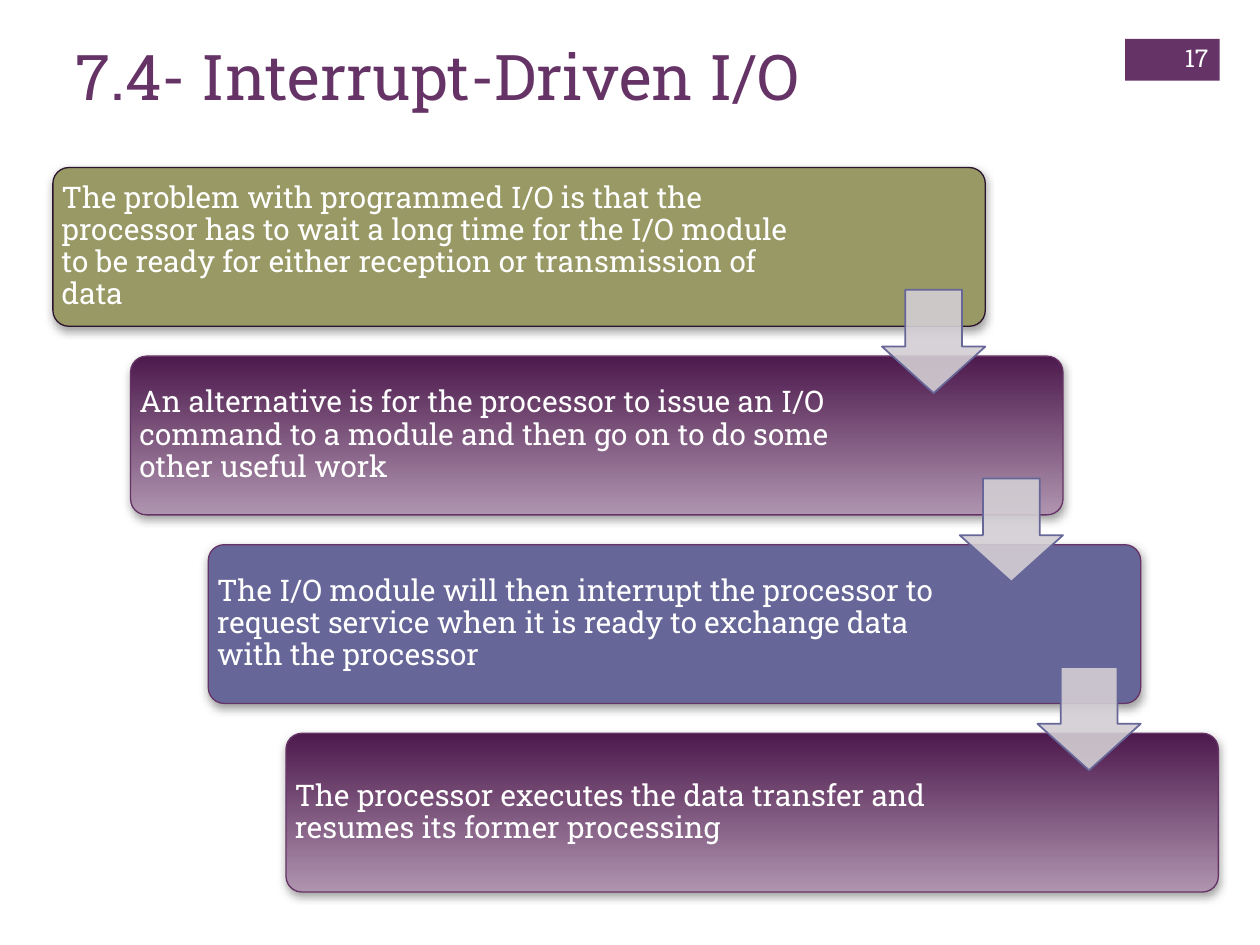
import pptx
import pptx.dml.color
import pptx.enum.shapes
import pptx.enum.text
import pptx.oxml
import pptx.oxml.ns
import pptx.util
from pptx.util import Inches

RGBColor = pptx.dml.color.RGBColor
MSO_SHAPE = pptx.enum.shapes.MSO_SHAPE
MSO_ANCHOR = pptx.enum.text.MSO_ANCHOR
PP_ALIGN = pptx.enum.text.PP_ALIGN

FONT = "Roboto Slab"
PURPLE = RGBColor(0x66, 0x33, 0x66)
DARK_PURPLE = RGBColor(0x4D, 0x1A, 0x4D)
LIGHT_PURPLE = RGBColor(0xAF, 0x94, 0xAF)
INK = RGBColor(0x2B, 0x14, 0x2D)
OLIVE = RGBColor(0x99, 0x99, 0x66)
SLATE = RGBColor(0x66, 0x66, 0x99)
ARROW_GRAY = RGBColor(0xD3, 0xCE, 0xD3)
WHITE = RGBColor(0xFF, 0xFF, 0xFF)
GRADIENT = (DARK_PURPLE, LIGHT_PURPLE)

SHADOW = (
    '<a:effectLst %s><a:outerShdw blurRad="63500" dist="25400" dir="5400000" rotWithShape="0">'
    '<a:srgbClr val="808080"><a:alpha val="75000"/></a:srgbClr></a:outerShdw></a:effectLst>'
    % pptx.oxml.ns.nsdecls("a")
)

# Text, text width, fill and outline of each step
STEPS = [
    ("The problem with programmed I/O is that the processor has to wait a long time for the "
     "I/O module to be ready for either reception or transmission of data", 6, OLIVE, INK),
    ("An alternative is for the processor to issue an I/O command to a module and then go on "
     "to do some other useful work", 5.96, GRADIENT, PURPLE),
    ("The I/O module will then interrupt the processor to request service when it is ready to "
     "exchange data with the processor", 5.97, SLATE, PURPLE),
    ("The processor executes the data transfer and resumes its former processing",
     5.96, GRADIENT, PURPLE),
]


def add_text(slide, box, text, size, color, anchor=MSO_ANCHOR.MIDDLE,
             align=PP_ALIGN.LEFT, inset=None, line_spacing=None):
    """Add a one-paragraph text box at box (left, top, width, height in inches)."""
    frame = slide.shapes.add_textbox(*map(Inches, box)).text_frame
    frame.word_wrap = True
    frame.vertical_anchor = anchor
    if inset is not None:
        frame.margin_left = frame.margin_right = Inches(inset)
        frame.margin_top = frame.margin_bottom = Inches(inset)
    frame.text = text
    paragraph = frame.paragraphs[0]
    paragraph.alignment = align
    paragraph.line_spacing = line_spacing
    font = paragraph.runs[0].font
    font.name = FONT
    font.size = pptx.util.Pt(size)
    font.color.rgb = color


def add_shape(slide, kind, box, fill, line=None, line_width=0.75, adjustments=()):
    """Add a preset shape with a solid colour or a (top, bottom) gradient."""
    shape = slide.shapes.add_shape(kind, *map(Inches, box))
    shape.shadow.inherit = False
    for index, value in enumerate(adjustments):
        shape.adjustments[index] = value
    if fill is GRADIENT:
        shape.fill.gradient()
        shape.fill.gradient_angle = 270
        for stop, color, position in zip(shape.fill.gradient_stops, fill, (0, 1)):
            stop.color.rgb = color
            stop.position = position
    else:
        shape.fill.solid()
        shape.fill.fore_color.rgb = fill
    if line is None:
        shape.line.fill.background()
    else:
        shape.line.color.rgb = line
        shape.line.width = pptx.util.Pt(line_width)
    return shape


def add_step(slide, box, text, text_width, fill, line):
    """Add one rounded step card with a soft shadow and its text."""
    card = add_shape(slide, MSO_SHAPE.ROUNDED_RECTANGLE, box, fill, line, adjustments=(0.1,))
    properties = card._element.spPr
    properties.replace(properties.find(pptx.oxml.ns.qn("a:effectLst")),
                       pptx.oxml.parse_xml(SHADOW))
    left, top, _, height = box
    add_text(slide, (left, top, text_width, height), text, 17, WHITE,
             inset=0.07, line_spacing=0.9)


def add_arrow(slide, box):
    """Add a slightly transparent down arrow."""
    arrow = add_shape(slide, MSO_SHAPE.DOWN_ARROW, box, ARROW_GRAY, SLATE, 1)
    # The first adjustment is the shaft width, the second the head length
    arrow.adjustments[0] = 0.55
    arrow.adjustments[1] = 0.45
    color = arrow._element.spPr.find(".//" + pptx.oxml.ns.qn("a:srgbClr"))
    color.append(pptx.oxml.parse_xml(
        '<a:alpha %s val="90000"/>' % pptx.oxml.ns.nsdecls("a")))


def add_staircase(slide, box):
    """Add the steps descending through box, with an arrow between neighbours."""
    left, top, width, height = box
    card_width, card_height, arrow_size = 7.4, 1.26, 0.82
    step_x = (width - card_width) / (len(STEPS) - 1)
    step_y = (height - card_height) / (len(STEPS) - 1)
    corners = [(left + index * step_x, top + index * step_y) for index in range(len(STEPS))]
    for (x, y), step in zip(corners, STEPS):
        add_step(slide, (x, y, card_width, card_height), *step)
    for x, y in corners[:-1]:
        add_arrow(slide, (x + card_width - arrow_size, y + 0.97, arrow_size, arrow_size))


def add_header(slide, box):
    """Add the title at the left of box and the page number at its right."""
    left, top, width, height = box
    right = left + width
    add_shape(slide, MSO_SHAPE.RECTANGLE, (right - 0.76, top + 0.06, 0.75, 0.33), PURPLE)
    add_text(slide, (left, top, 8.26, height), "7.4- Interrupt-Driven I/O", 36, PURPLE,
             anchor=MSO_ANCHOR.TOP)
    add_text(slide, (right - 0.61, top + 0.01, 0.61, 0.4), "17", 14, WHITE,
             align=PP_ALIGN.RIGHT)


def main():
    """Build and save the presentation."""
    presentation = pptx.Presentation()
    presentation.slide_width = Inches(10)
    presentation.slide_height = Inches(7.5)
    slide = presentation.slides.add_slide(presentation.slide_layouts[6])
    add_header(slide, (0.5, 0.25, 9.19, 1.22))
    add_staircase(slide, (0.42, 1.33, 9.25, 5.75))
    presentation.save("out.pptx")


main()
